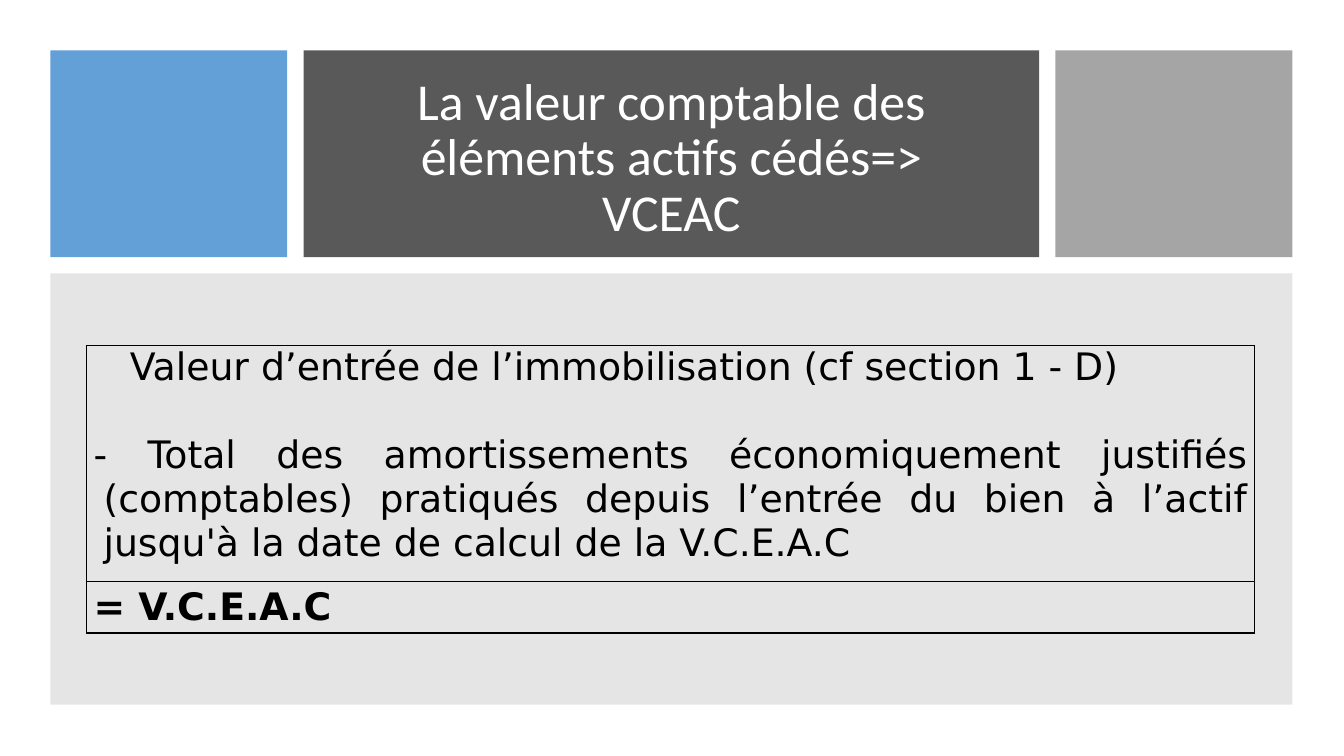
from dataclasses import dataclass

from lxml import etree
from pptx import Presentation
from pptx.dml.color import RGBColor
from pptx.enum.shapes import MSO_SHAPE
from pptx.enum.text import MSO_ANCHOR, MSO_AUTO_SIZE, PP_ALIGN
from pptx.oxml.ns import qn
from pptx.util import Cm, Pt

RECTANGLE = MSO_SHAPE.RECTANGLE
MIDDLE, TOP = MSO_ANCHOR.MIDDLE, MSO_ANCHOR.TOP
NO_AUTOFIT = MSO_AUTO_SIZE.NONE
CENTER, JUSTIFY, LEFT = PP_ALIGN.CENTER, PP_ALIGN.JUSTIFY, PP_ALIGN.LEFT


@dataclass(frozen=True)
class Theme:
    blue: str = "5B9BD5"
    charcoal: str = "595959"
    silver: str = "A5A5A5"
    panel: str = "808080"
    white: str = "FFFFFF"
    black: str = "000000"
    title_font: str = "Calibri"
    table_font: str = "DejaVu Sans"
    title_size: int = 37
    table_size: int = 27
    border_width: int = 1


class SlideBuilder:
    def __init__(self, page, theme):
        self.page = page
        self.theme = theme

    def block(self, left, top, width, height, color, opacity=100):
        box = self.page.shapes.add_shape(
            RECTANGLE, Cm(left), Cm(top), Cm(width), Cm(height))
        box.shadow.inherit = False
        box.line.fill.background()
        box.fill.solid()
        box.fill.fore_color.rgb = RGBColor.from_string(color)
        if opacity < 100:
            tint = box.element.spPr.find(".//" + qn("a:srgbClr"))
            etree.SubElement(tint, qn("a:alpha"), val=str(opacity * 1000))

    def span(self, para, text, font, size, color, bold=False):
        span = para.add_run()
        span.text = text
        span.font.name = font
        span.font.size = Pt(size)
        span.font.bold = bold
        span.font.color.rgb = RGBColor.from_string(color)

    def title(self, text, left, top, width, height):
        box = self.page.shapes.title
        box.left, box.top = Cm(left), Cm(top)
        box.width, box.height = Cm(width), Cm(height)
        frame = box.text_frame
        frame.word_wrap = True
        frame.auto_size = NO_AUTOFIT
        frame.vertical_anchor = MIDDLE
        para = frame.paragraphs[0]
        para.alignment = CENTER
        para.line_spacing = 0.9
        self.span(para, text, self.theme.title_font,
                  self.theme.title_size, self.theme.white)
        self.page.shapes.element.append(box.element)

    def table(self, left, top, width, row_heights):
        frame = self.page.shapes.add_table(
            len(row_heights), 1, Cm(left), Cm(top), Cm(width), Cm(sum(row_heights)))
        table = frame.table
        table.first_row = table.horz_banding = False
        for row, height in zip(table.rows, row_heights):
            row.height = Cm(height)
            self.format_cell(row.cells[0])
        return table

    def format_cell(self, cell):
        cell.margin_left = cell.margin_right = Cm(0.18)
        cell.margin_top = cell.margin_bottom = 0
        properties = cell._tc.get_or_add_tcPr()
        for side in ("lnL", "lnR", "lnT", "lnB"):
            line = etree.SubElement(properties, qn("a:" + side),
                                    w=str(Pt(self.theme.border_width)))
            fill = etree.SubElement(line, qn("a:solidFill"))
            etree.SubElement(fill, qn("a:srgbClr"), val=self.theme.black)
        cell.fill.background()

    def cell_text(self, para, text, alignment, bold=False, margin=0, indent=0, after=0):
        para.alignment = alignment
        para.space_after = Pt(after)
        settings = para._p.get_or_add_pPr()
        settings.set("marL", str(Cm(margin)))
        settings.set("indent", str(Cm(indent)))
        self.span(para, text, self.theme.table_font,
                  self.theme.table_size, self.theme.black, bold)


def main():
    deck = Presentation()
    deck.slide_width, deck.slide_height = Cm(33.87), Cm(19.05)
    theme = Theme()
    builder = SlideBuilder(deck.slides.add_slide(deck.slide_layouts[5]), theme)

    margin, gap, band_height = 1.27, 0.41, 5.21
    bands = ((5.97, theme.blue, 95), (18.54, theme.charcoal, 100), (5.97, theme.silver, 100))
    left = margin
    for width, color, opacity in bands:
        builder.block(left, margin, width, band_height, color, opacity)
        left += width + gap
    builder.block(margin, margin + band_height + gap, left - gap - margin, 10.87,
                  theme.panel, 20)
    builder.title("La valeur comptable des éléments actifs cédés=> VCEAC",
                  8.46, 2.03, 16.92, 3.96)

    table = builder.table(2.18, 8.71, 29.44, (5.94, 1.3))
    calculation, result = table.cell(0, 0), table.cell(1, 0)
    calculation.vertical_anchor = TOP
    result.vertical_anchor = MIDDLE
    frame = calculation.text_frame
    builder.cell_text(frame.paragraphs[0],
                      "Valeur d’entrée de l’immobilisation (cf section 1 - D)",
                      JUSTIFY, margin=0.91, after=31.4)
    builder.cell_text(frame.add_paragraph(),
                      "- Total des amortissements économiquement justifiés (comptables) "
                      "pratiqués depuis l’entrée du bien à l’actif jusqu'à la date de "
                      "calcul de la V.C.E.A.C",
                      JUSTIFY, margin=0.25, indent=-0.25)
    builder.cell_text(result.text_frame.paragraphs[0], "= V.C.E.A.C", LEFT, bold=True)

    deck.save("out.pptx")


if __name__ == "__main__":
    main()
